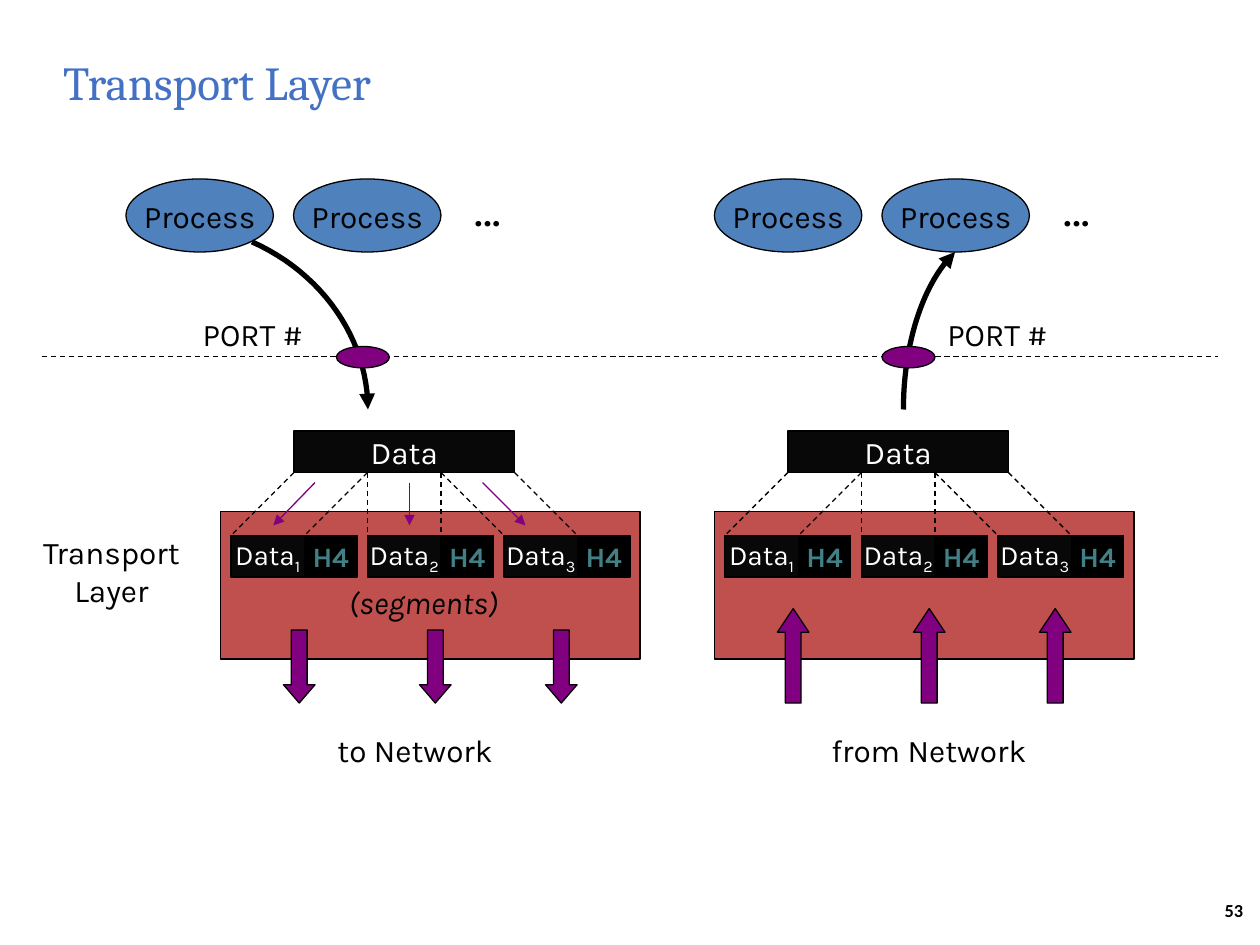
from lxml import etree
from pptx import Presentation
from pptx.dml.color import RGBColor
from pptx.enum.dml import MSO_LINE
from pptx.enum.shapes import MSO_CONNECTOR, MSO_SHAPE
from pptx.enum.text import MSO_ANCHOR, PP_ALIGN
from pptx.oxml.ns import qn
from pptx.util import Inches, Pt

RECT, OVAL = MSO_SHAPE.RECTANGLE, MSO_SHAPE.OVAL
DOWN, UP = MSO_SHAPE.DOWN_ARROW, MSO_SHAPE.UP_ARROW
LEFT, CENTER = PP_ALIGN.LEFT, PP_ALIGN.CENTER
BLACK, WHITE, PURPLE = "000000", "FFFFFF", "800080"
RED, BLUE, DARK, TEAL = "C0504D", "4F81BD", "080808", "438086"

# Each host: processes, port and its label, data path, then the transport panel
HOSTS = [
    dict(process_x=1, panel_x=1.75, arrow=DOWN, arrow_y=5, head=0.58,
         caption="to Network", caption_x=2.58, caption_w=1.49,
         port_x=2.67, label_x=1.51, arrow_end="tailEnd",
         curve=[(2, 1.92), (2.56, 2.17), (2.92, 2.69), (2.92, 3.25)]),
    dict(process_x=5.67, panel_x=5.67, arrow=UP, arrow_y=4.83, head=0.75,
         caption="from Network", caption_x=6.5, caption_w=1.79,
         port_x=7, label_x=7.42, arrow_end="headEnd",
         curve=[(7.58, 2), (7.33, 2.24), (7.17, 2.72), (7.17, 3.25)]),
]
SEGMENTS = ["1", "2", "3"]
NETWORK_ARROWS = [0.5, 1.58, 2.58]
SPLIT_ARROWS = [(2.5, 2.17), (3.25, 3.25), (3.83, 4.17)]
PART_W, HEADER_W, SEGMENT_STEP = 7 / 12, 5 / 12, 13 / 12
DATA_Y, DATA_H, SEGMENT_Y = 3.42, 0.33, 4.25
CURVE_STEPS = 24

deck = Presentation()
deck.slide_width, deck.slide_height = Inches(10), Inches(7.5)
page = deck.slides.add_slide(deck.slide_layouts[5])
shapes = page.shapes


def rgb(value):
    return RGBColor.from_string(value)


def set_font(para, size, color=BLACK, name="Karla", bold=None, italic=None):
    font = para.font
    font.name, font.size, font.bold, font.italic = name, Pt(size), bold, italic
    font.color.rgb = rgb(color)


def add_text(x, y, w, h, text, size=18, align=LEFT, margin=True, **font):
    frame = shapes.add_textbox(Inches(x), Inches(y), Inches(w), Inches(h)).text_frame
    frame.word_wrap = False
    if not margin:
        clear_margins(frame)
    para = frame.paragraphs[0]
    para.text, para.alignment = text, align
    set_font(para, size, **font)


def clear_margins(frame):
    frame.margin_left = frame.margin_right = frame.margin_top = frame.margin_bottom = 0


def add_block(kind, x, y, w, h, fill, text="", subscript="", size=18, **font):
    block = shapes.add_shape(kind, Inches(x), Inches(y), Inches(w), Inches(h))
    block.shadow.inherit = False
    block.fill.solid()
    block.fill.fore_color.rgb = rgb(fill)
    block.line.color.rgb = rgb(BLACK)
    block.line.width = Pt(0.75)
    if text:
        frame = block.text_frame
        frame.word_wrap = False
        frame.vertical_anchor = MSO_ANCHOR.MIDDLE
        para = frame.paragraphs[0]
        para.text, para.alignment = text, CENTER
        set_font(para, size, **font)
        if subscript:
            span = para.add_run()
            span.text = subscript
            span.font._element.set("baseline", "-25000")
    return block


def add_arrowhead(line_shape, end):
    line = line_shape.line._get_or_add_ln()
    etree.SubElement(line, qn("a:" + end), type="triangle")


def add_line(x1, y1, x2, y2, color=BLACK, dashed=True):
    line = shapes.add_connector(MSO_CONNECTOR.STRAIGHT, Inches(x1), Inches(y1),
                                Inches(x2), Inches(y2))
    line.line.color.rgb = rgb(color)
    line.line.width = Pt(0.75)
    if dashed:
        line.line.dash_style = MSO_LINE.DASH
    else:
        add_arrowhead(line, "tailEnd")
    etree.SubElement(line._element.spPr, qn("a:effectLst"))


def add_curve(controls, end):
    """Draw a cubic Bézier curve as a fine open outline with one arrowhead."""
    points = []
    for step in range(CURVE_STEPS + 1):
        t = step / CURVE_STEPS
        weights = ((1 - t) ** 3, 3 * t * (1 - t) ** 2, 3 * t * t * (1 - t), t ** 3)
        points.append(tuple(Inches(sum(k * c[axis] for k, c in zip(weights, controls)))
                            for axis in (0, 1)))
    builder = shapes.build_freeform(*points[0])
    builder.add_line_segments(points[1:], close=False)
    curve = builder.convert_to_shape()
    curve.shadow.inherit = False
    curve.fill.background()
    curve.line.color.rgb = rgb(BLACK)
    curve.line.width = Pt(3)
    add_arrowhead(curve, end)


def add_panel(host):
    left = host["panel_x"]
    data_x, segments_x = left + PART_W, left + 1 / 12
    add_block(RECT, left, 4.06, 3.33, 1.17, RED)
    add_block(RECT, data_x, DATA_Y, 3 * PART_W, DATA_H, DARK, "Data", color=WHITE)
    for i, number in enumerate(SEGMENTS):
        x = segments_x + i * SEGMENT_STEP
        add_block(RECT, x, SEGMENT_Y, PART_W, DATA_H, DARK, "Data", number,
                  size=16, color=WHITE)
        header = add_block(RECT, x + PART_W, SEGMENT_Y, HEADER_W, DATA_H, BLACK, "H4",
                           size=16, color=TEAL, bold=True)
        header.line.color.rgb = rgb(BLACK)
        for edge in (0, PART_W):
            add_line(data_x + i * PART_W + edge, DATA_Y + DATA_H, x + edge, SEGMENT_Y)
    for offset in NETWORK_ARROWS:
        y = host["arrow_y"]
        arrow = add_block(host["arrow"], left + offset, y, 0.25, 5.58 - y, PURPLE)
        arrow.adjustments[0], arrow.adjustments[1] = 0.5, host["head"]
    add_text(host["caption_x"], 5.75, host["caption_w"], 0.43, host["caption"])


def add_processes(host):
    left = host["process_x"]
    for x in (left, left + 1.33):
        add_block(OVAL, x, 1.42, 1.17, 0.58, BLUE, "Process", color=BLACK)
    add_text(left + 2.67, 1.36, 0.48, 0.63, "…", size=28)
    add_curve(host["curve"], host["arrow_end"])
    add_text(host["label_x"], 2.45, 1.13, 0.43, "PORT #")
    add_block(OVAL, host["port_x"], 2.75, 0.42, 0.17, PURPLE)


title = shapes.title
title.left, title.top, title.width, title.height = map(Inches, (0.5, 0.42, 9, 0.51))
title.text_frame.text = "Transport Layer"
clear_margins(title.text_frame)
title.text_frame.vertical_anchor = MSO_ANCHOR.TOP
title.text_frame.paragraphs[0].alignment = LEFT
set_font(title.text_frame.paragraphs[0], 27, "4471C4", "Cambria")

add_text(9.72, 7.14, 0.21, 0.17, "53", 10.5, margin=False, name="Calibri", bold=True)
add_line(0.33, 2.83, 9.67, 2.83)
add_text(0.22, 4.18, 1.33, 0.77, "Transport\nLayer", align=CENTER)
for host in HOSTS:
    add_panel(host)
for top_x, bottom_x in SPLIT_ARROWS:
    add_line(top_x, 3.83, bottom_x, 4.17, PURPLE, dashed=False)
add_text(2.67, 4.58, 1.51, 0.43, "(segments)", italic=True)
for host in HOSTS:
    add_processes(host)

deck.save("out.pptx")
